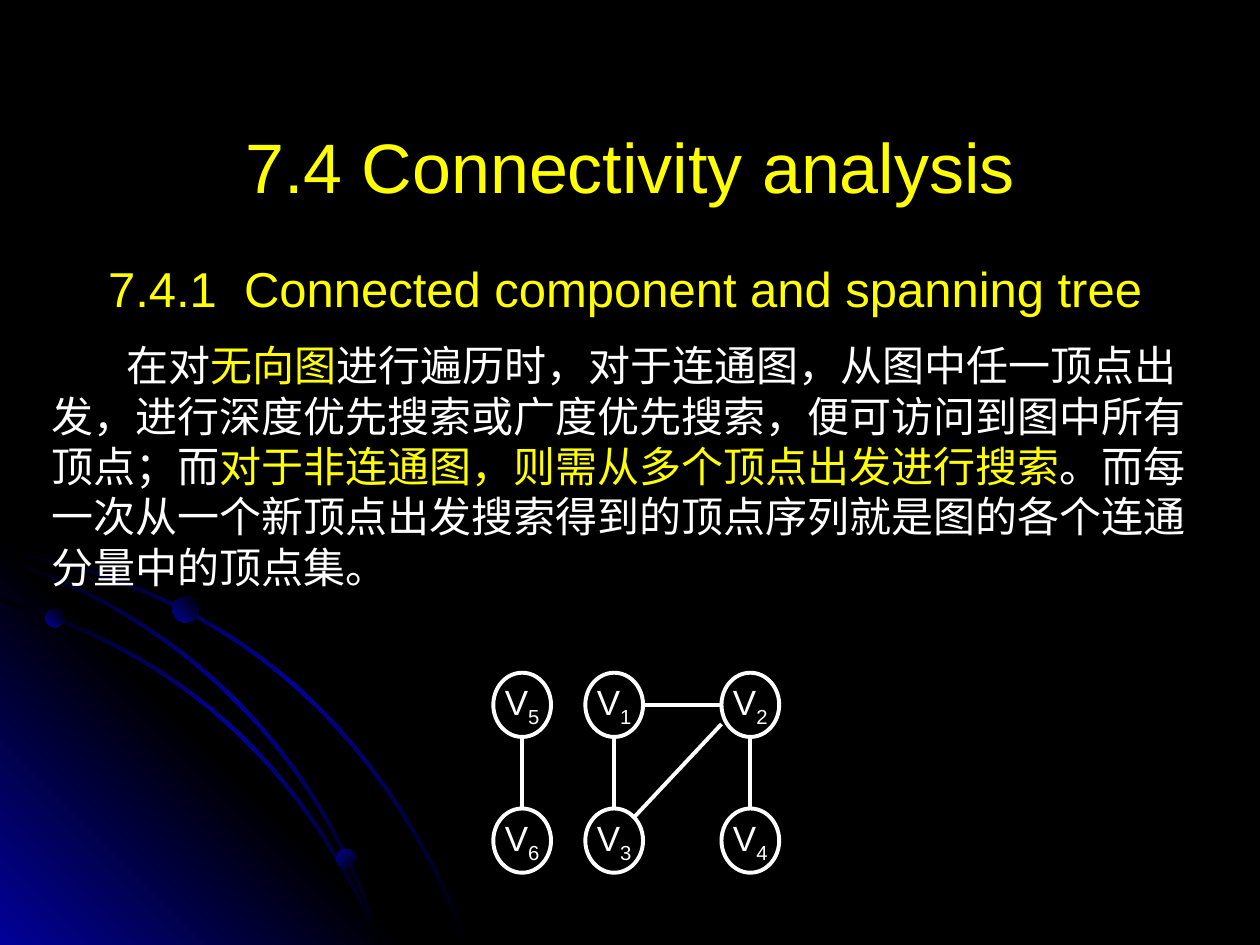
from lxml import etree
from pptx import Presentation
from pptx.dml.color import RGBColor
from pptx.enum.shapes import MSO_CONNECTOR, MSO_SHAPE
from pptx.enum.text import MSO_ANCHOR, PP_ALIGN
from pptx.oxml import parse_xml
from pptx.oxml.ns import nsdecls, qn
from pptx.util import Pt

BLACK = RGBColor(0x00, 0x00, 0x00)
BLUE = RGBColor(0x01, 0x01, 0x99)
WHITE = RGBColor(0xFF, 0xFF, 0xFF)
YELLOW = RGBColor(0xFF, 0xFF, 0x00)
LATIN = "Arial"
CHINESE = "Noto Sans CJK SC"
SLIDE_WIDTH, SLIDE_HEIGHT = 720, 540
LINE_WIDTH = 2.25


def paint_gradient(shape, colors, angle):
    stops = "".join(
        f'<a:gs pos="{100000 * i // (len(colors) - 1)}"><a:srgbClr val="{color}"/></a:gs>'
        for i, color in enumerate(colors)
    )
    gradient = parse_xml(
        f'<a:gradFill {nsdecls("a")} rotWithShape="1"><a:gsLst>{stops}</a:gsLst>'
        f'<a:lin ang="{angle * 60000}" scaled="0"/></a:gradFill>'
    )
    shape.fill.background()
    properties = shape.element.spPr
    properties.replace(properties.find(qn("a:noFill")), gradient)
    shape.line.fill.background()
    shape.shadow.inherit = False


def add_run(paragraph, text, size, color, font=LATIN):
    run = paragraph.add_run()
    run.text = text
    run.font.size = Pt(size)
    run.font.name = font
    run.font.color.rgb = color
    etree.SubElement(run.font._element, qn("a:ea")).set("typeface", font)
    return run


prs = Presentation()
prs.slide_width, prs.slide_height = Pt(SLIDE_WIDTH), Pt(SLIDE_HEIGHT)
slide = prs.slides.add_slide(prs.slide_layouts[5])
slide.background.fill.solid()
slide.background.fill.fore_color.rgb = BLACK
shapes = slide.shapes

glow_size = 232
glow = shapes.add_shape(
    MSO_SHAPE.RIGHT_TRIANGLE, Pt(0), Pt(SLIDE_HEIGHT - glow_size), Pt(glow_size), Pt(glow_size)
)
paint_gradient(glow, (BLUE, BLACK, BLUE), 315)

orbit_steps = 24
half_band = 0.7
points_per_unit = 0.1
orbit_controls = {
    "upper": [(0, 314.3), (122.4, 334.8), (216, 406.8), (267.1, 539.3)],
    "lower": [(0, 342.7), (100.8, 372.2), (172.8, 435.6), (217.4, 539.3)],
    "middle": [(0, 319), (100.8, 350.6), (183.6, 428.4), (217.4, 539.3)],
}
for controls in orbit_controls.values():
    center_line = []
    for step in range(orbit_steps + 1):
        t = step / orbit_steps
        weights = ((1 - t) ** 3, 3 * t * (1 - t) ** 2, 3 * t**2 * (1 - t), t**3)
        center_line.append(
            [sum(w * point[axis] for w, point in zip(weights, controls)) for axis in (0, 1)]
        )
    outer_edge = [(x + half_band, y - half_band) for x, y in center_line]
    inner_edge = [(max(0, x - half_band), y + half_band) for x, y in reversed(center_line)]
    band = [(x / points_per_unit, y / points_per_unit) for x, y in outer_edge + inner_edge]
    orbit = shapes.build_freeform(*band[0], scale=Pt(points_per_unit))
    orbit.add_line_segments(band[1:], close=True)
    paint_gradient(orbit.convert_to_shape(), (BLACK, BLUE, BLACK), 45)

for left, top, diameter, angle in [
    (25.9, 347.8, 10.8, 315),
    (192.2, 485.3, 11.5, 45),
    (98.6, 340.6, 15.1, 315),
]:
    planet = shapes.add_shape(MSO_SHAPE.OVAL, Pt(left), Pt(top), Pt(diameter), Pt(diameter))
    paint_gradient(planet, (BLUE, BLACK), angle)

title = shapes.title
title.left, title.top, title.width, title.height = Pt(36), Pt(49.7), Pt(648), Pt(90)
title.text_frame.vertical_anchor = MSO_ANCHOR.MIDDLE
heading = title.text_frame.paragraphs[0]
heading.alignment = PP_ALIGN.CENTER
add_run(heading, "7.4 Connectivity analysis", 40, YELLOW)

section = shapes.add_textbox(Pt(54.7), Pt(144), Pt(607), Pt(41)).text_frame
section.word_wrap = False
add_run(section.paragraphs[0], "7.4.1  Connected component and spanning tree", 28, YELLOW)

explanation = shapes.add_textbox(Pt(22.3), Pt(190.6), Pt(678.2), Pt(181.4)).text_frame
explanation.word_wrap = True
sentence = explanation.paragraphs[0]
sentence.line_spacing = Pt(28.8)
sentence._p.get_or_add_pPr().set("indent", str(Pt(42.7)))
for text, color in [
    ("在对", WHITE),
    ("无向图", YELLOW),
    ("进行遍历时，对于连通图，从图中任一顶点出发，进行深度优先搜索或广度优先搜索，便可访问到图中所有顶点；而", WHITE),
    ("对于非连通图，则需从多个顶点出发进行搜索", YELLOW),
    ("。而每一次从一个新顶点出发搜索得到的顶点序列就是图的各个连通分量中的顶点集。", WHITE),
]:
    add_run(sentence, text, 24, color, CHINESE)

node_width, node_height = 33, 36.7
columns, rows = (281.9, 334.5, 412.3), (384.4, 462)
vertex_grid = ("512", "634")
vertices = {
    index: (left, top)
    for top, indices in zip(rows, vertex_grid)
    for left, index in zip(columns, indices)
}

side_offsets = {
    "top": (node_width / 2, 0),
    "bottom": (node_width / 2, node_height),
    "left": (0, node_height / 2),
    "right": (node_width, node_height / 2),
    "upper right": (node_width * 0.84, node_height * 0.14),
    "lower left": (0, node_height * 0.8),
}
for start, start_side, end, end_side in [
    ("1", "right", "2", "left"),
    ("1", "bottom", "3", "top"),
    ("2", "bottom", "4", "top"),
    ("3", "upper right", "2", "lower left"),
    ("5", "bottom", "6", "top"),
]:
    ends = [
        Pt(corner + offset)
        for vertex, side in ((start, start_side), (end, end_side))
        for corner, offset in zip(vertices[vertex], side_offsets[side])
    ]
    edge = shapes.add_connector(MSO_CONNECTOR.STRAIGHT, *ends)
    edge.line.color.rgb = WHITE
    edge.line.width = Pt(LINE_WIDTH)
    etree.SubElement(edge.element.spPr, qn("a:effectLst"))

for index, (left, top) in vertices.items():
    node = shapes.add_shape(MSO_SHAPE.OVAL, Pt(left), Pt(top), Pt(node_width), Pt(node_height))
    node.shadow.inherit = False
    node.fill.background()
    node.line.color.rgb = WHITE
    node.line.width = Pt(LINE_WIDTH)
    frame = node.text_frame
    frame.word_wrap = False
    frame.vertical_anchor = MSO_ANCHOR.MIDDLE
    frame.margin_left = frame.margin_right = frame.margin_top = frame.margin_bottom = 0
    label = frame.paragraphs[0]
    label.alignment = PP_ALIGN.CENTER
    add_run(label, "V", 20, WHITE)
    add_run(label, index, 20, WHITE).font._element.set("baseline", "-25000")

prs.save("out.pptx")
